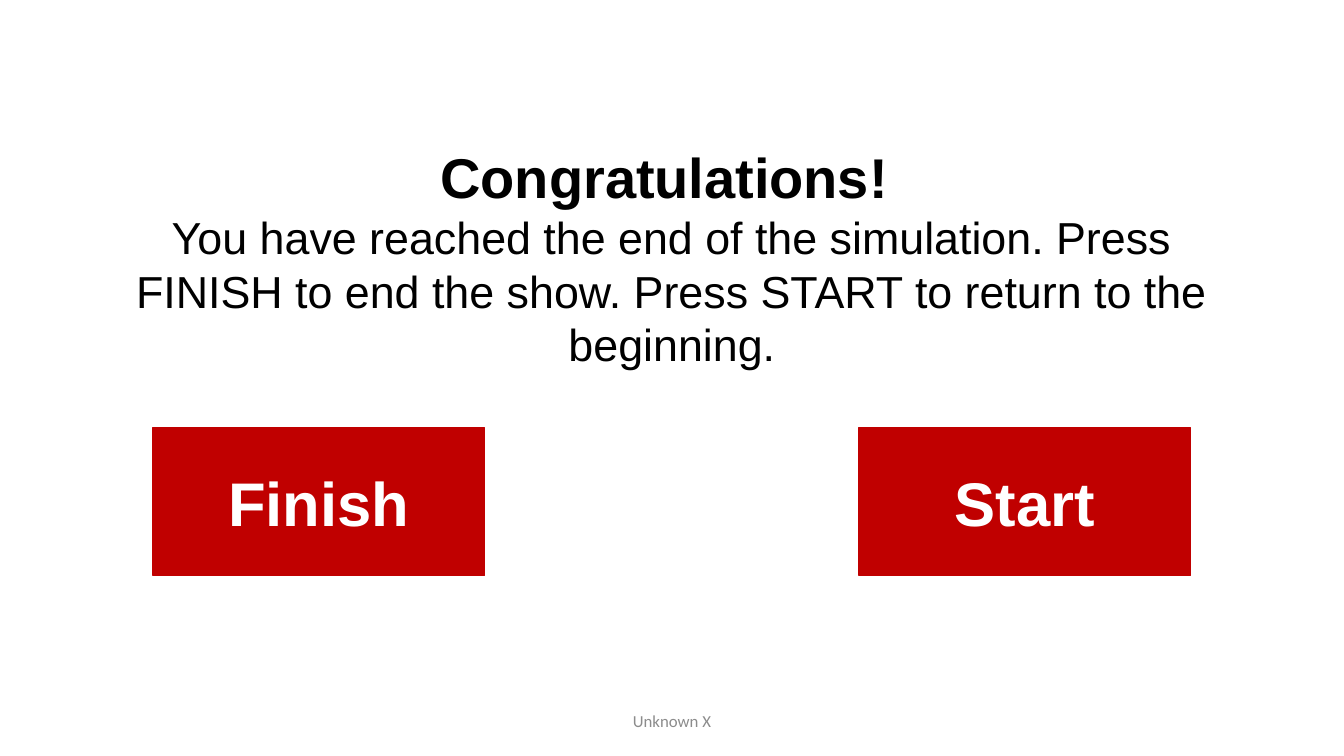
from pptx import Presentation
from pptx import util as u
from pptx.dml.color import RGBColor
from pptx.enum import shapes, text

BLACK = RGBColor(0x00, 0x00, 0x00)
WHITE = RGBColor(0xFF, 0xFF, 0xFF)
RED = RGBColor(0xC0, 0x00, 0x00)
GREY = RGBColor(0x8C, 0x8C, 0x8C)

BUTTON_TOP, BUTTON_WIDTH, BUTTON_HEIGHT = 10.78, 8.35, 3.73
BUTTONS = [("Finish", 3.86), ("Start", 21.65)]


def prepare_frame(shape, anchor):
    frame = shape.text_frame
    frame.word_wrap = True
    frame.auto_size = text.MSO_AUTO_SIZE.NONE
    frame.vertical_anchor = anchor
    return frame


def add_run(paragraph, words, size, color, bold=False, font="Arial"):
    paragraph.alignment = text.PP_ALIGN.CENTER
    run = paragraph.add_run()
    run.text = words
    run.font.name = font
    run.font.size = u.Pt(size)
    run.font.bold = bold
    run.font.color.rgb = color


def format_title(slide):
    title = slide.shapes.title
    title.left, title.top = u.Cm(2.19), u.Cm(3.46)
    title.width, title.height = u.Cm(29.49), u.Cm(6.07)
    frame = prepare_frame(title, text.MSO_ANCHOR.TOP)
    add_run(frame.paragraphs[0], "Congratulations! ", 40, BLACK, bold=True)
    add_run(frame.add_paragraph(),
            "You have reached the end of the simulation. Press FINISH to end "
            "the show. Press START to return to the beginning.", 32, BLACK)


def add_button(slide, label, left):
    button = slide.shapes.add_shape(
        shapes.MSO_SHAPE.RECTANGLE, u.Cm(left), u.Cm(BUTTON_TOP),
        u.Cm(BUTTON_WIDTH), u.Cm(BUTTON_HEIGHT))
    button.shadow.inherit = False
    button.fill.solid()
    button.fill.fore_color.rgb = RED
    button.line.color.rgb = RED
    button.line.width = u.Pt(1)
    frame = prepare_frame(button, text.MSO_ANCHOR.MIDDLE)
    add_run(frame.paragraphs[0], label, 44, WHITE, bold=True)


def add_footer(slide, words):
    footer = slide.shapes.add_textbox(
        u.Cm(11.22), u.Cm(17.65), u.Cm(11.43), u.Cm(1.02))
    frame = prepare_frame(footer, text.MSO_ANCHOR.MIDDLE)
    add_run(frame.paragraphs[0], words, 12, GREY, font="Calibri")


def main():
    presentation = Presentation()
    presentation.slide_width = u.Cm(33.87)
    presentation.slide_height = u.Cm(19.05)
    slide = presentation.slides.add_slide(
        presentation.slide_layouts.get_by_name("Title Only"))

    # Closing message
    format_title(slide)

    # Choice of ending or restarting
    for label, left in BUTTONS:
        add_button(slide, label, left)

    # Footer
    add_footer(slide, "Unknown X")

    presentation.save("out.pptx")


main()
